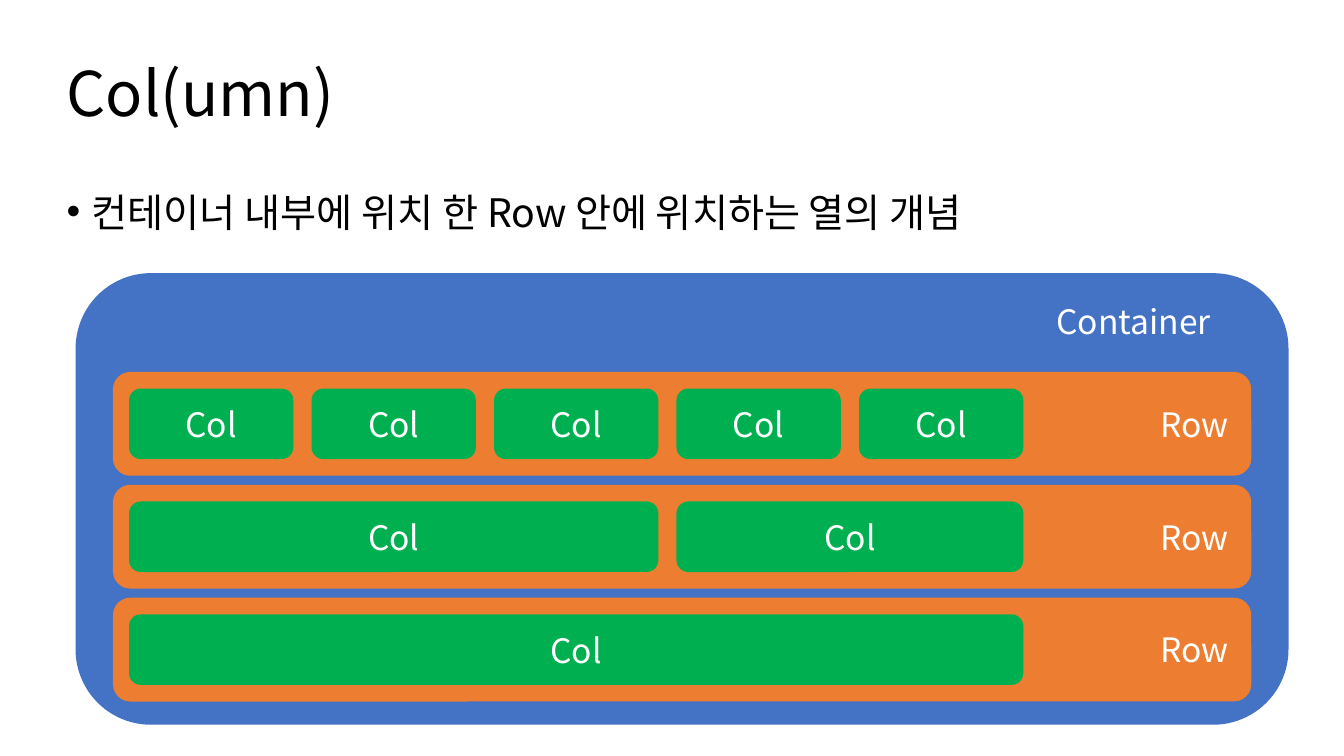
from pptx import Presentation
from pptx.dml.color import RGBColor
from pptx.enum.shapes import MSO_SHAPE
from pptx.enum.text import MSO_ANCHOR, MSO_AUTO_SIZE, PP_ALIGN
from pptx.util import Inches, Pt

TITLE = "Col(umn)"
BULLET = "컨테이너 내부에 위치 한 Row 안에 위치하는 열의 개념"
CONTAINER_LABEL, ROW_LABEL, COL_LABEL = "Container", "Row", "Col"
ROW_SPANS = [(1, 1, 1, 1, 1), (3, 2), (5,)]  # grid columns taken by each Col

FONT = "Noto Sans CJK KR"
BLACK = RGBColor(0x00, 0x00, 0x00)
WHITE = RGBColor(0xFF, 0xFF, 0xFF)
BLUE = RGBColor(0x44, 0x72, 0xC4)
ORANGE = RGBColor(0xED, 0x7D, 0x31)
GREEN = RGBColor(0x00, 0xB0, 0x50)

# Grid, in inches
CONTAINER = (0.75, 2.71, 12.03, 4.48)
ROW_LEFT, ROW_TOP, ROW_WIDTH, ROW_HEIGHT = 1.12, 3.69, 11.29, 1.03
ROW_PITCH = 1.12
COL_LEFT, COL_WIDTH, COL_HEIGHT, COL_PITCH = 1.28, 1.63, 0.7, 1.81
LABEL_HEIGHT = 0.5


def write(frame, text, size, color, align=PP_ALIGN.LEFT, anchor=MSO_ANCHOR.TOP):
    """Put one formatted run in a text frame and return its paragraph."""
    frame.word_wrap = True
    frame.auto_size = MSO_AUTO_SIZE.NONE
    frame.vertical_anchor = anchor
    para = frame.paragraphs[0]
    para.alignment = align
    span = para.add_run()
    span.text = text
    span.font.size = Pt(size)
    span.font.name = FONT
    span.font.color.rgb = color
    properties = span.font._element
    east_asian = properties.makeelement(properties.find("{*}latin").tag.replace("latin", "ea"), {"typeface": FONT})
    properties.find("{*}latin").addnext(east_asian)
    return para


def place(shape, left, top, width, height):
    """Move and size a placeholder, in inches."""
    shape.left, shape.top = Inches(left), Inches(top)
    shape.width, shape.height = Inches(width), Inches(height)


def add_panel(page, bounds, color, text=None):
    """Add a rounded panel, with centred text if given."""
    panel = page.shapes.add_shape(MSO_SHAPE.ROUNDED_RECTANGLE, *map(Inches, bounds))
    panel.shadow.inherit = False
    panel.fill.solid()
    panel.fill.fore_color.rgb = color
    panel.line.fill.background()
    if text:
        write(panel.text_frame, text, 24, WHITE, PP_ALIGN.CENTER, MSO_ANCHOR.MIDDLE)


def add_label(page, text, left, top, width):
    """Add a white label."""
    box = page.shapes.add_textbox(*map(Inches, (left, top, width, LABEL_HEIGHT)))
    write(box.text_frame, text, 24, WHITE)


def add_row(page, index, spans):
    """Add one Row with its label and its Cols."""
    top = ROW_TOP + index * ROW_PITCH
    add_panel(page, (ROW_LEFT, top, ROW_WIDTH, ROW_HEIGHT), ORANGE)
    add_label(page, ROW_LABEL, 11.41, top + (ROW_HEIGHT - LABEL_HEIGHT) / 2, 0.95)
    start = 0
    for span in spans:
        left = COL_LEFT + start * COL_PITCH
        width = COL_WIDTH + (span - 1) * COL_PITCH
        add_panel(page, (left, top + (ROW_HEIGHT - COL_HEIGHT) / 2, width, COL_HEIGHT), GREEN, COL_LABEL)
        start += span


deck = Presentation()
deck.slide_width, deck.slide_height = Inches(13.33), Inches(7.5)
page = deck.slides.add_slide(deck.slide_layouts[1])  # title and bulleted body

title, body = page.placeholders
place(title, 0.56, 0, 12.31, 1.45)
heading = write(title.text_frame, TITLE, 44, BLACK, anchor=MSO_ANCHOR.MIDDLE)
heading.line_spacing = 1.5
place(body, 0.56, 1.58, 12.31, 5.69)
bullet = write(body.text_frame, BULLET, 28, BLACK)
bullet.line_spacing = 1.5
bullet.space_before = Pt(10)
indent = bullet._p.get_or_add_pPr()
indent.set("marL", str(Inches(0.25)))
indent.set("indent", str(-Inches(0.25)))

add_panel(page, CONTAINER, BLUE)
add_label(page, CONTAINER_LABEL, 10.38, 2.94, 1.85)
for index, spans in enumerate(ROW_SPANS):
    add_row(page, index, spans)

deck.save("out.pptx")
